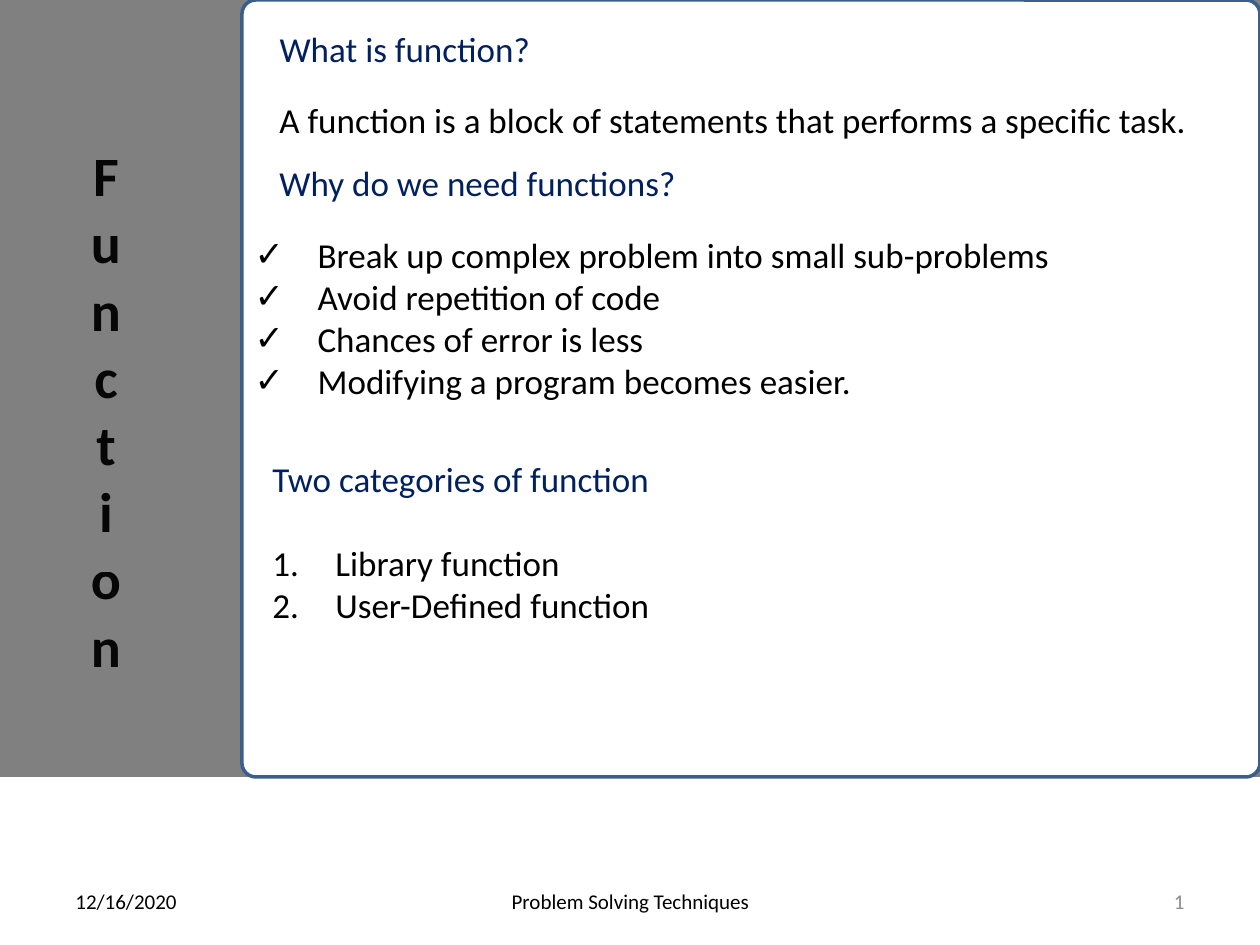
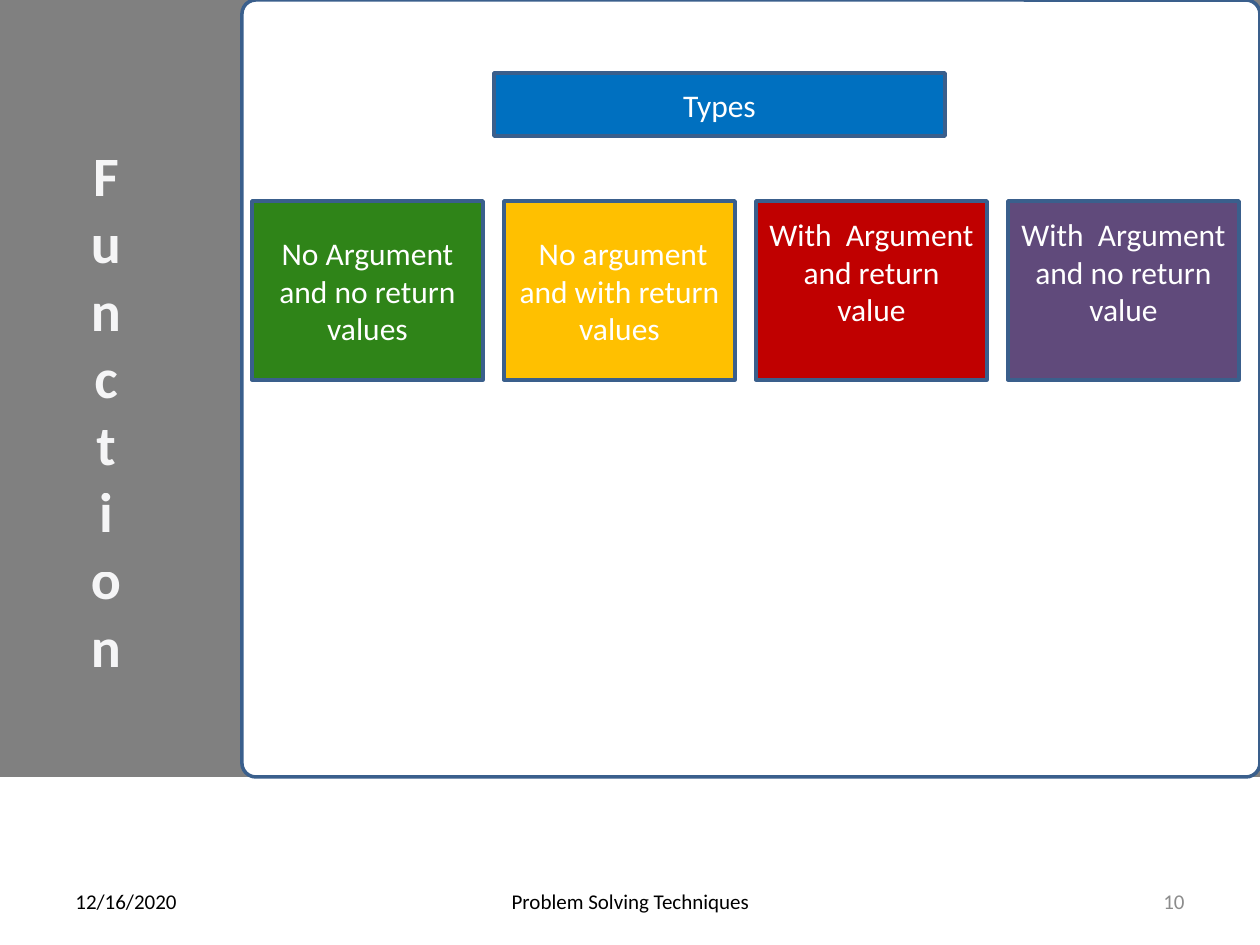
from collections import namedtuple

from lxml import etree
from pptx import Presentation
from pptx.dml.color import RGBColor
from pptx.enum.shapes import MSO_SHAPE
from pptx.enum.text import MSO_ANCHOR, MSO_AUTO_SIZE, PP_ALIGN
from pptx.oxml.ns import qn
from pptx.util import Emu, Pt

RECTANGLE, ROUNDED = MSO_SHAPE.RECTANGLE, MSO_SHAPE.ROUNDED_RECTANGLE
LEFT, CENTER, RIGHT = PP_ALIGN.LEFT, PP_ALIGN.CENTER, PP_ALIGN.RIGHT
TOP, MIDDLE = MSO_ANCHOR.TOP, MSO_ANCHOR.MIDDLE
FIXED = MSO_AUTO_SIZE.NONE

BLACK = RGBColor(0x00, 0x00, 0x00)
WHITE = RGBColor(0xFF, 0xFF, 0xFF)
OFF_WHITE = RGBColor(0xFC, 0xFC, 0xFD)
GRAY = RGBColor(0x80, 0x80, 0x80)
NUMBER_GRAY = RGBColor(0x8C, 0x8C, 0x8C)
NAVY = RGBColor(0x00, 0x20, 0x60)
BORDER = RGBColor(0x3A, 0x5F, 0x8C)
OUTLINE = RGBColor(0x10, 0x1A, 0x26)
BLUE = RGBColor(0x00, 0x70, 0xC0)
GREEN = RGBColor(0x2F, 0x84, 0x18)
AMBER = RGBColor(0xFF, 0xC0, 0x00)
RED = RGBColor(0xC0, 0x00, 0x00)
PURPLE = RGBColor(0x60, 0x4A, 0x7B)

FONT = "Calibri"
Box = namedtuple("Box", "left top width height")
PAGE = Box(0, 0, 1260, 945)
BAND = Box(0, 0, 1260, 777)
PANEL = Box(242, 0, 1018, 777)
SIDE_LABEL = Box(53, 0, 106, 819)
FOOTER = Box(63, 876, 1134, 50)
LIST_INDENT = 63
TITLE_ONLY, TITLE_AND_CONTENT = 5, 1


def px(length):
    return Emu(round(length * 914400 / 126))


def inside(outer, left, top, width, height):
    """Box given relative to the corner of another box."""
    return Box(outer.left + left, outer.top + top, width, height)


def place(shape, box):
    shape.left, shape.top, shape.width, shape.height = map(px, box)


def paint(shape, fill, line=None):
    shape.fill.solid()
    shape.fill.fore_color.rgb = fill
    if line is None:
        shape.line.fill.background()
    else:
        shape.line.color.rgb = line
        shape.line.width = Pt(2)


def add_block(page, kind, box, fill, line=None):
    block = page.shapes.add_shape(kind, *map(px, box))
    block.shadow.inherit = False
    paint(block, fill, line)
    return block


def add_text_box(page, box):
    return page.shapes.add_textbox(*map(px, box))


def add_span(para, text, size, color, bold=False):
    span = para.add_run()
    span.text = text
    font = span.font
    font.name, font.size, font.bold = FONT, Pt(size), bold
    font.color.rgb = color
    return span


def write(shape, lines, size, color, align=LEFT, anchor=TOP):
    frame = shape.text_frame
    frame.word_wrap = True
    frame.auto_size = FIXED
    frame.vertical_anchor = anchor
    for index, line in enumerate(lines):
        para = frame.add_paragraph() if index else frame.paragraphs[0]
        para.alignment = align
        para.space_before = Pt(0)
        add_span(para, line, size, color)
    return frame


def add_marker(para, tag, **attributes):
    """Give a paragraph a hanging indent and a bullet or number."""
    properties = para._p.get_or_add_pPr()
    properties.set("marL", str(px(LIST_INDENT)))
    properties.set("indent", str(-px(LIST_INDENT)))
    etree.SubElement(properties, qn(tag), attributes)


def set_alpha(fill_parent, percent):
    color = fill_parent.find(qn("a:solidFill"))[0]
    etree.SubElement(color, qn("a:alpha"), val=str(percent * 1000))


def add_side_label(page, color):
    frame = write(add_text_box(page, SIDE_LABEL), [], 32, color)
    frame._txBody.bodyPr.set("vert", "wordArtVert")
    para = frame.paragraphs[0]
    para.alignment = CENTER
    properties = add_span(para, "Function", 32, color, bold=True)._r.rPr
    properties.set("spc", "50")
    set_alpha(properties, 95)
    outline = etree.Element(qn("a:ln"), w=str(Pt(1.06)))
    fill = etree.SubElement(outline, qn("a:solidFill"))
    etree.SubElement(fill, qn("a:srgbClr"), val=str(OUTLINE))
    set_alpha(outline, 6)
    properties.insert(0, outline)


def add_footer(page, box, number):
    parts = (
        (0, 294, "12/16/2020", LEFT, BLACK),
        (840, 294, number, RIGHT, NUMBER_GRAY),
        (368, 399, "Problem Solving Techniques", CENTER, BLACK),
    )
    for left, width, text, align, color in parts:
        part = add_text_box(page, inside(box, left, 0, width, box.height))
        write(part, [text], 12, color, align, MIDDLE)


def add_page(deck, layout, label_color, number):
    page = deck.slides.add_slide(deck.slide_layouts[layout])
    placeholders = list(page.placeholders)
    add_block(page, RECTANGLE, BAND, GRAY)
    panel = add_block(page, ROUNDED, PANEL, WHITE, BORDER)
    panel.adjustments[0] = 0.018
    add_side_label(page, label_color)
    add_footer(page, FOOTER, number)
    for placeholder in placeholders:
        page.shapes._spTree.append(placeholder._element)
    return page


def add_categories(page, box):
    frame = write(add_text_box(page, box), ["Two categories of function"], 20, NAVY)
    for index, name in enumerate(("Library function", "User-Defined function")):
        para = frame.add_paragraph()
        para.space_before = Pt(0 if index else 24.4)
        add_marker(para, "a:buAutoNum", type="arabicPeriod")
        add_span(para, name, 20, BLACK)


def build_introduction(deck, panel):
    page = add_page(deck, TITLE_AND_CONTENT, BLACK, "1")
    title, body = page.shapes.title, page.placeholders[1]
    place(title, inside(panel, 25, 21, 966, 55))
    write(title, ["What is function?"], 20, NAVY)

    statements = (
        (92, "A function is a block of statements that performs a specific task.", BLACK),
        (155, "Why do we need functions?", NAVY),
    )
    for top, text, color in statements:
        statement = add_text_box(page, inside(panel, 25, top, 966, 55))
        write(statement, [text], 20, color)

    place(body, inside(panel, 0, 227, 1002, 183))
    reasons = (
        "Break up complex problem into small sub-problems",
        "Avoid repetition of code",
        "Chances of error is less",
        "Modifying a program becomes easier.",
    )
    for para in write(body, reasons, 20, BLACK).paragraphs:
        add_marker(para, "a:buChar", char="✓")
    add_categories(page, inside(panel, 18, 451, 966, 183))


def build_types(deck, panel):
    page = add_page(deck, TITLE_ONLY, OFF_WHITE, "10")
    title = page.shapes.title
    place(title, inside(panel, 252, 73, 451, 63))
    paint(title, BLUE, BORDER)
    write(title, ["Types"], 18, WHITE, CENTER, MIDDLE)

    cards = (
        ("No Argument and no return values", GREEN, 6),
        (" No argument and with return values", AMBER, 6),
        ("With  Argument and return value", RED, 44),
        ("With  Argument and no return value", PURPLE, 44),
    )
    for column, (text, color, bottom_margin) in enumerate(cards):
        box = inside(panel, 10 + 252 * column, 201, 231, 179)
        card = add_block(page, RECTANGLE, box, color, BORDER)
        frame = write(card, [text], 18, WHITE, CENTER, MIDDLE)
        frame.margin_bottom = px(bottom_margin)


def main():
    deck = Presentation()
    deck.slide_width, deck.slide_height = px(PAGE.width), px(PAGE.height)
    build_introduction(deck, PANEL)
    build_types(deck, PANEL)
    deck.save("out.pptx")


if __name__ == "__main__":
    main()
